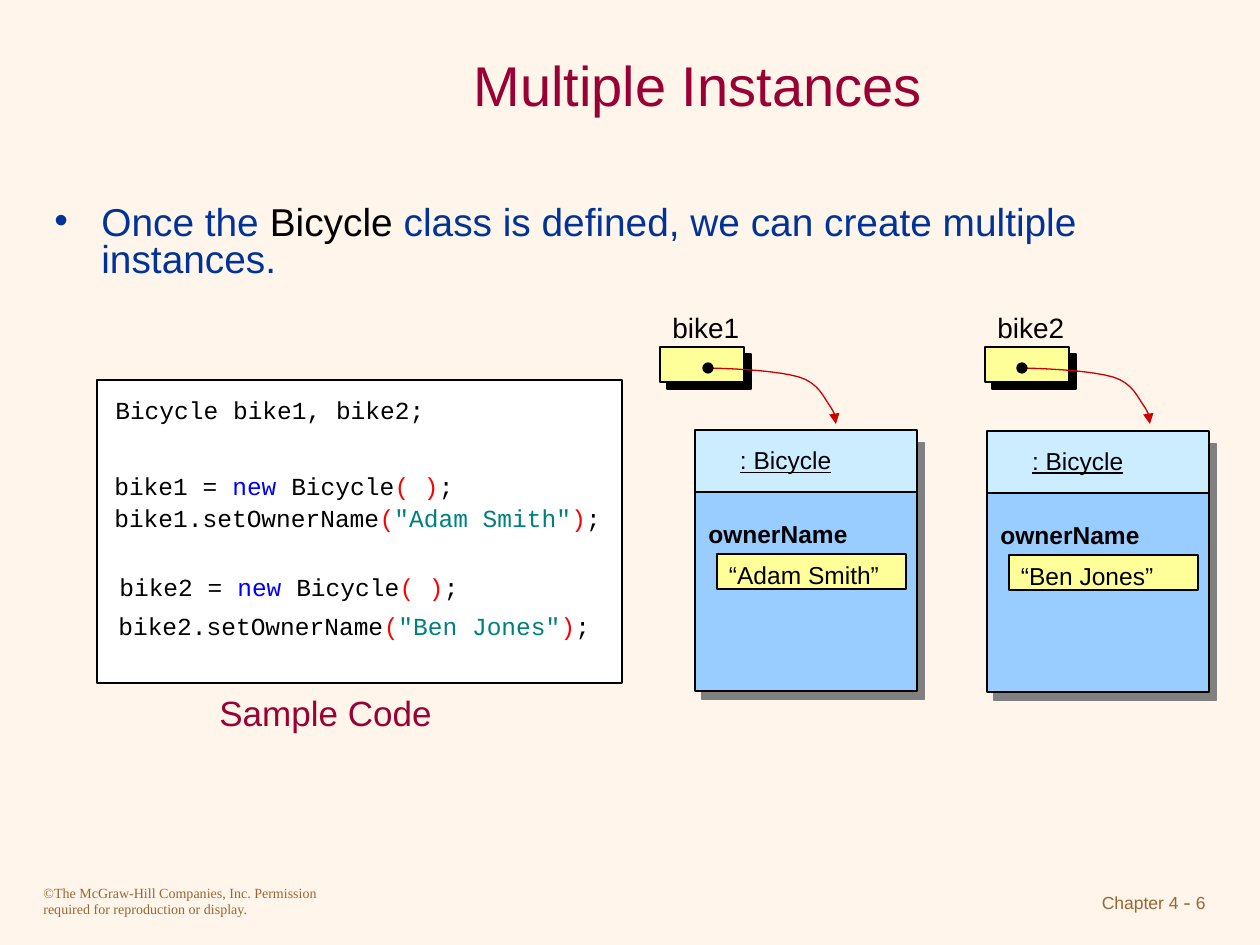
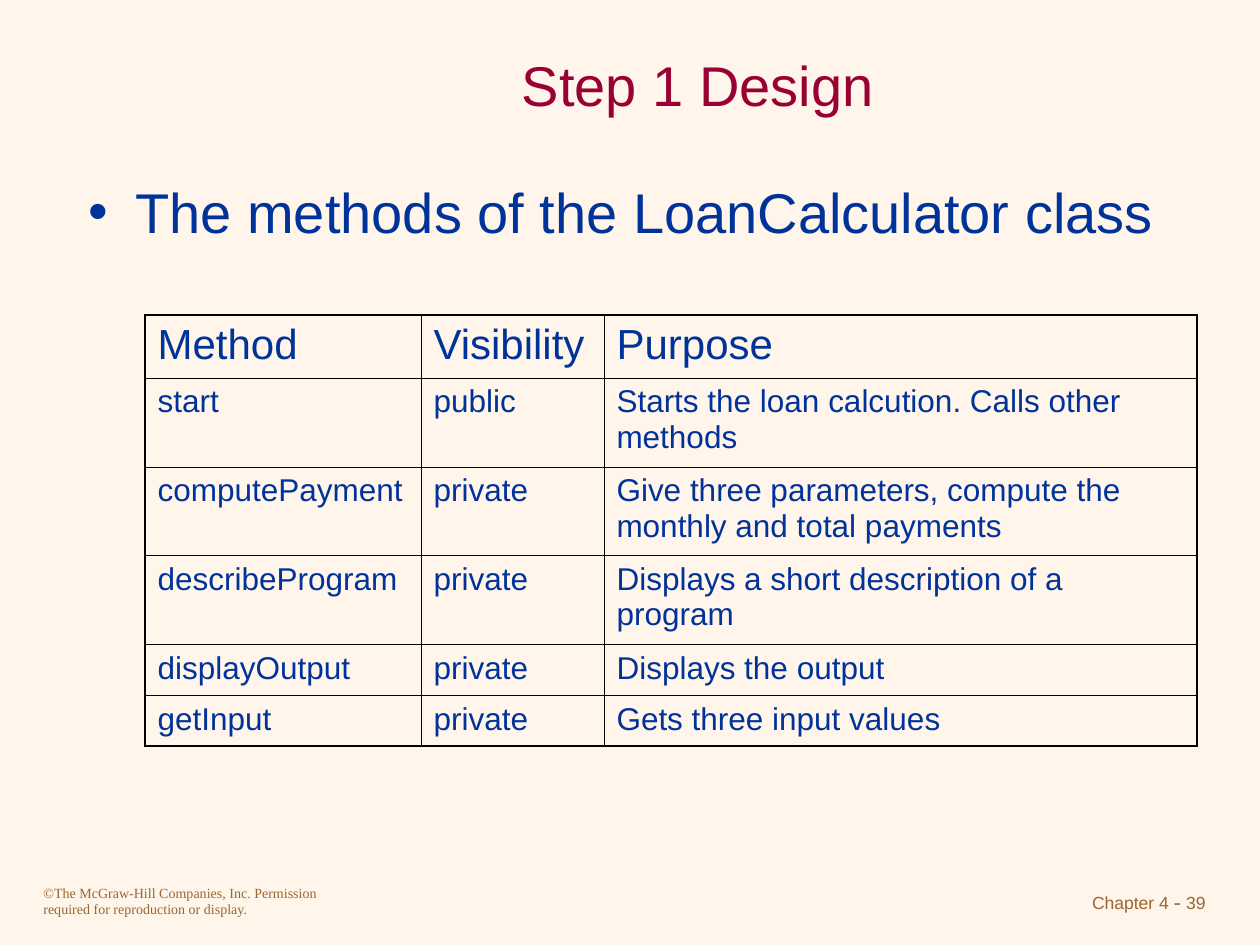
from lxml import etree
from pptx import Presentation, util as u
from pptx.dml.color import RGBColor
from pptx.enum import shapes as sh, text as tx
from pptx.oxml import ns

SCALE = 914400 / 126
CREAM, WINE, NAVY, BROWN = "FFF5EB", "990033", "003399", "996633"
BLACK, WHITE, GREY, RED = "000000", "FFFFFF", "808080", "CC0000"
YELLOW, SKY, BLUE = "FFFF99", "CCECFF", "99CCFF"
KEY, PAREN, QUOTE = {"color": "0000FF"}, {"color": "FF0000"}, {"color": "007F7F"}
RECT, OVAL = sh.MSO_SHAPE.RECTANGLE, sh.MSO_SHAPE.OVAL
LEFT, MID, RIGHT = tx.PP_ALIGN.LEFT, tx.PP_ALIGN.CENTER, tx.PP_ALIGN.RIGHT
COPY = ("©The McGraw-Hill Companies, Inc. Permission "
        "required for reproduction or display.")
CURVE = [[(0, 0), (35, 1), (69, 3), (91, 9)],
         [(91, 9), (111, 15), (116, 30), (122, 38)],
         [(122, 38), (128, 47), (128, 50), (128, 56)]]
METHODS = [
    ("Method", "Visibility", "Purpose"),
    ("start", "public", "Starts the loan calcution. Calls other methods"),
    ("computePayment", "private",
     "Give three parameters, compute the monthly and total payments"),
    ("describeProgram", "private", "Displays a short description of a program"),
    ("displayOutput", "private", "Displays the output"),
    ("getInput", "private", "Gets three input values"),
]


def px(n):
    return u.Emu(round(n * SCALE))


def rgb(code):
    return RGBColor.from_string(code)


def node(up, tag, **attrs):
    item = etree.SubElement(up, ns.qn("a:" + tag))
    for key, value in attrs.items():
        item.set(key, str(value))
    return item


def tint(up, code):
    node(node(up, "solidFill"), "srgbClr", val=code)


def write(frame, runs, size=14, color=BLACK, font="Arial", bold=False,
          under=False, align=LEFT, lead=None, bullet=False):
    para = frame.paragraphs[0]
    if bullet:
        props = para._p.get_or_add_pPr()
        props.set("marL", str(px(47)))
        props.set("indent", str(-px(47)))
        node(node(props, "buClr"), "srgbClr", val=color)
        node(props, "buFont", typeface=font)
        node(props, "buChar", char="•")
    para.alignment = align
    if lead:
        para.line_spacing = lead
    for part in [(runs, {})] if isinstance(runs, str) else runs:
        words, own = part
        run = para.add_run()
        run.text = words
        face = run.font
        face.name = own.get("font", font)
        face.size = u.Pt(own.get("size", size))
        face.color.rgb = rgb(own.get("color", color))
        face.bold, face.underline = bold, under


def label(slide, at, runs, anchor=tx.MSO_ANCHOR.TOP, **style):
    frame = slide.shapes.add_textbox(*map(px, at)).text_frame
    frame.word_wrap = True
    frame.vertical_anchor = anchor
    write(frame, runs, **style)


def block(slide, at, fill, kind=RECT, shade=None):
    box = slide.shapes.add_shape(kind, *map(px, at))
    box.shadow.inherit = False
    box.fill.solid()
    box.fill.fore_color.rgb = rgb(fill)
    box.line.color.rgb = rgb(BLACK)
    box.line.width = u.Pt(0.75)
    if shade:
        color, dist, angle = shade
        glow = node(box._element.spPr.find(ns.qn("a:effectLst")), "outerShdw",
                    dist=u.Pt(dist), dir=angle * 60000, algn="ctr", rotWithShape=0)
        node(glow, "srgbClr", val=color)
    return box


def caption(box, words, left, top, **style):
    frame = box.text_frame
    frame.word_wrap = True
    frame.vertical_anchor = tx.MSO_ANCHOR.TOP
    frame.margin_left, frame.margin_top = px(left), px(top)
    frame.margin_bottom = 0
    write(frame, words, **style)


def bezier(ends, t):
    weights = ((1 - t) ** 3, 3 * t * (1 - t) ** 2, 3 * t * t * (1 - t), t ** 3)
    return [sum(w * p[axis] for w, p in zip(weights, ends)) for axis in (0, 1)]


def arrow(slide, left, top):
    dots = [bezier(ends, step / 8) for ends in CURVE for step in range(1, 9)]
    build = slide.shapes.build_freeform(px(left), px(top))
    build.add_line_segments([(px(left + x), px(top + y)) for x, y in dots], close=False)
    line = build.convert_to_shape()
    line.shadow.inherit = False
    line.fill.background()
    line.line.color.rgb = rgb(RED)
    line.line.width = u.Pt(0.75)
    node(line.line._get_or_add_ln(), "tailEnd", type="triangle")


def pointer(slide, name, left, dot):
    block(slide, (left, 347, 84, 35), YELLOW, shade=(BLACK, 5.7, 45))
    label(slide, (left, 304, 110, 47), name, size=16)
    arrow(slide, dot + 5, 368)
    block(slide, (dot, 363, 10, 10), BLACK, kind=OVAL)


def bicycle(slide, owner, left, top):
    block(slide, (left, top + 4, 222, 257), BLUE, shade=(GREY, 6.4, 51))
    head = block(slide, (left, top, 222, 62), SKY)
    caption(head, ": Bicycle", 45, 15, under=True)
    label(slide, (left + 1, top + 83, 200, 43), "ownerName", bold=True)
    field = block(slide, (left + 22, top + 124, 189, 35), YELLOW)
    caption(field, f"“{owner}”", 12, 6)


def make(name):
    return [(f"{name} = ", {}), ("new", KEY), (" Bicycle", {}), ("( )", PAREN), (";", {})]


def assign(name, owner):
    return [(f"{name}.setOwnerName", {}), ("(", PAREN), (f'"{owner}"', QUOTE),
            (")", PAREN), (";", {})]


def edge(cell, ends):
    props = cell._tc.get_or_add_tcPr()
    for spot, (side, outer) in enumerate(zip("LRTB", ends)):
        line = node(props, "ln" + side, w=u.Pt(1.08 if outer else 0.45))
        tint(line, BLACK)
        props.insert(spot, line)


def grid(slide, left, top, widths, heights, rows):
    deep, wide = len(heights), len(widths)
    size = map(px, (left, top, sum(widths), sum(heights)))
    table = slide.shapes.add_table(deep, wide, *size).table
    table.first_row = table.horz_banding = False
    for col, width in zip(table.columns, widths):
        col.width = px(width)
    for r, (row, height) in enumerate(zip(rows, heights)):
        table.rows[r].height = px(height)
        for c, words in enumerate(row):
            cell = table.cell(r, c)
            cell.fill.background()
            edge(cell, (c == 0, c == wide - 1, r == 0, r == deep - 1))
            write(cell.text_frame, words, size=18 if r else 24, color=NAVY)


def page(deck, title, number):
    slide = deck.slides.add_slide(deck.slide_layouts[6])
    slide.background.fill.solid()
    slide.background.fill.fore_color.rgb = rgb(CREAM)
    label(slide, (31, 878, 315, 45), COPY, size=8, color=BROWN, font="Times New Roman")
    dash = (" - ", {"size": 12, "font": "Times New Roman"})
    label(slide, (945, 882, 273, 40), [("Chapter 4", {}), dash, (str(number), {})],
          size=10, color=BROWN, align=RIGHT)
    label(slide, (189, 32, 1018, 105), title, anchor=tx.MSO_ANCHOR.MIDDLE,
          size=32, color=WINE, align=MID)
    return slide


def bikes(deck):
    slide = page(deck, "Multiple Instances", 6)
    point = [("Once the ", {}), ("Bicycle", {"color": BLACK}),
             (" class is defined, we can create multiple instances.", {})]
    label(slide, (42, 200, 1176, 90), point, size=22.2, color=NAVY, lead=0.8, bullet=True)
    block(slide, (97, 380, 525, 303), WHITE)
    code = [(103, 394, "Bicycle bike1, bike2;"),
            (102, 470, make("bike1")),
            (102, 502, assign("bike1", "Adam Smith")),
            (107, 571, make("bike2")),
            (106, 610, assign("bike2", "Ben Jones"))]
    for left, top, runs in code:
        label(slide, (left, top, 514, 36), runs, font="Courier New", lead=0.8)
    label(slide, (207, 685, 300, 55), "Sample Code", size=20, color=WINE)
    for name, owner, ref, dot, left, top in (
            ("bike1", "Adam Smith", 660, 703, 695, 430),
            ("bike2", "Ben Jones", 985, 1017, 987, 431)):
        bicycle(slide, owner, left, top)
        pointer(slide, name, ref, dot)


def design(deck):
    slide = page(deck, "Step 1 Design", 39)
    label(slide, (76, 171, 1128, 91), "The methods of the LoanCalculator class",
          size=32, color=NAVY, bullet=True)
    grid(slide, 145, 315, (276, 183, 593), (63, 89, 88, 89, 51, 51), METHODS)


def main():
    deck = Presentation()
    deck.slide_width, deck.slide_height = px(1260), px(945)
    bikes(deck)
    design(deck)
    deck.save("out.pptx")


if __name__ == "__main__":
    main()
